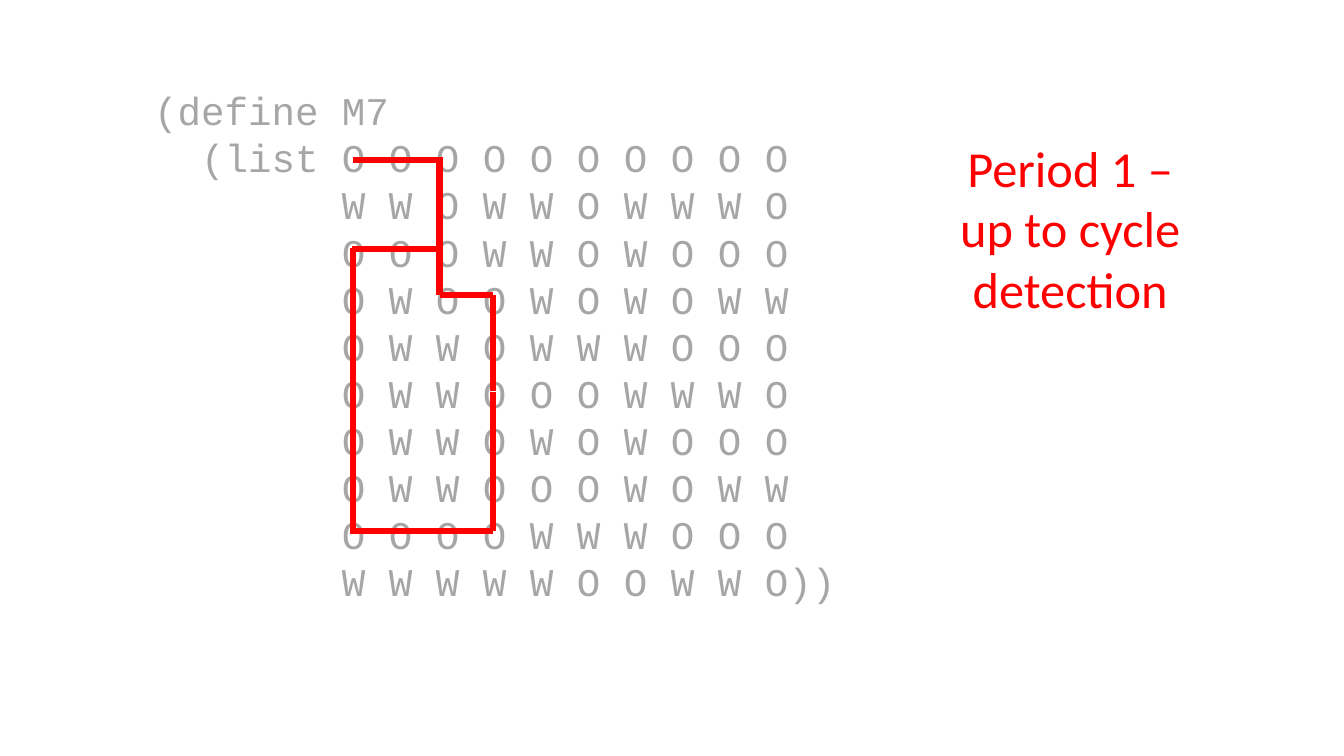
from lxml import etree
from pptx import Presentation
from pptx.dml.color import RGBColor
from pptx.enum import shapes, text
from pptx.oxml import ns
from pptx.util import Pt

PX = 9144
RED = "FF0000"


def color(value):
    return RGBColor.from_string(value)


def write_text(shape, content, font, size, fill, align):
    frame = shape.text_frame
    frame.word_wrap = True
    frame.vertical_anchor = text.MSO_ANCHOR.TOP
    frame.auto_size = text.MSO_AUTO_SIZE.SHAPE_TO_FIT_TEXT
    frame.text = content
    for paragraph in frame.paragraphs:
        paragraph.alignment = align
        for run in paragraph.runs:
            run.font.name = font
            run.font.size = Pt(size)
            run.font.color.rgb = color(fill)


presentation = Presentation()
presentation.slide_width = 1333 * PX
presentation.slide_height = 750 * PX
slide = presentation.slides.add_slide(presentation.slide_layouts[6])

code = """(define M7
  (list O O O O O O O O O O
        W W O W W O W W W O
        O O O W W O W O O O
        O W O O W O W O W W
        O W W O W W W O O O
        O W W O O O W W W O
        O W W O W O W O O O
        O W W O O O W O W W
        O O O O W W W O O O
        W W W W W O O W W O))"""
code_box = slide.shapes.add_textbox(143 * PX, 81 * PX, 735 * PX, 528 * PX)
write_text(code_box, code, font="Courier New", size=28, fill="A6A6A6", align=text.PP_ALIGN.LEFT)

caption = slide.shapes.add_shape(
    shapes.MSO_SHAPE.RECTANGLE, 903 * PX, 131 * PX, 317 * PX, 252 * PX
)
caption.shadow.inherit = False
caption.fill.solid()
caption.fill.fore_color.rgb = color("FFFFFF")
caption.line.fill.background()
write_text(caption, "Period 1 –\vup to cycle detection", font="Calibri", size=36, fill=RED,
           align=text.PP_ALIGN.CENTER)

path_segments = [
    (437, 159, 350, 159),
    (436, 247, 436, 156),
    (436, 293, 436, 247),
    (436, 293, 489, 293),
    (489, 388, 489, 293),
    (489, 483, 489, 389),
    (489, 481, 489, 527),
    (489, 527, 347, 527),
    (350, 527, 350, 246),
    (436, 247, 349, 247),
]
for segment in path_segments:
    connector = slide.shapes.add_connector(
        shapes.MSO_CONNECTOR.STRAIGHT, *[length * PX for length in segment]
    )
    connector.line.color.rgb = color(RED)
    connector.line.width = Pt(4.5)
    etree.SubElement(connector._element.spPr, ns.qn("a:effectLst"))

presentation.save("out.pptx")
